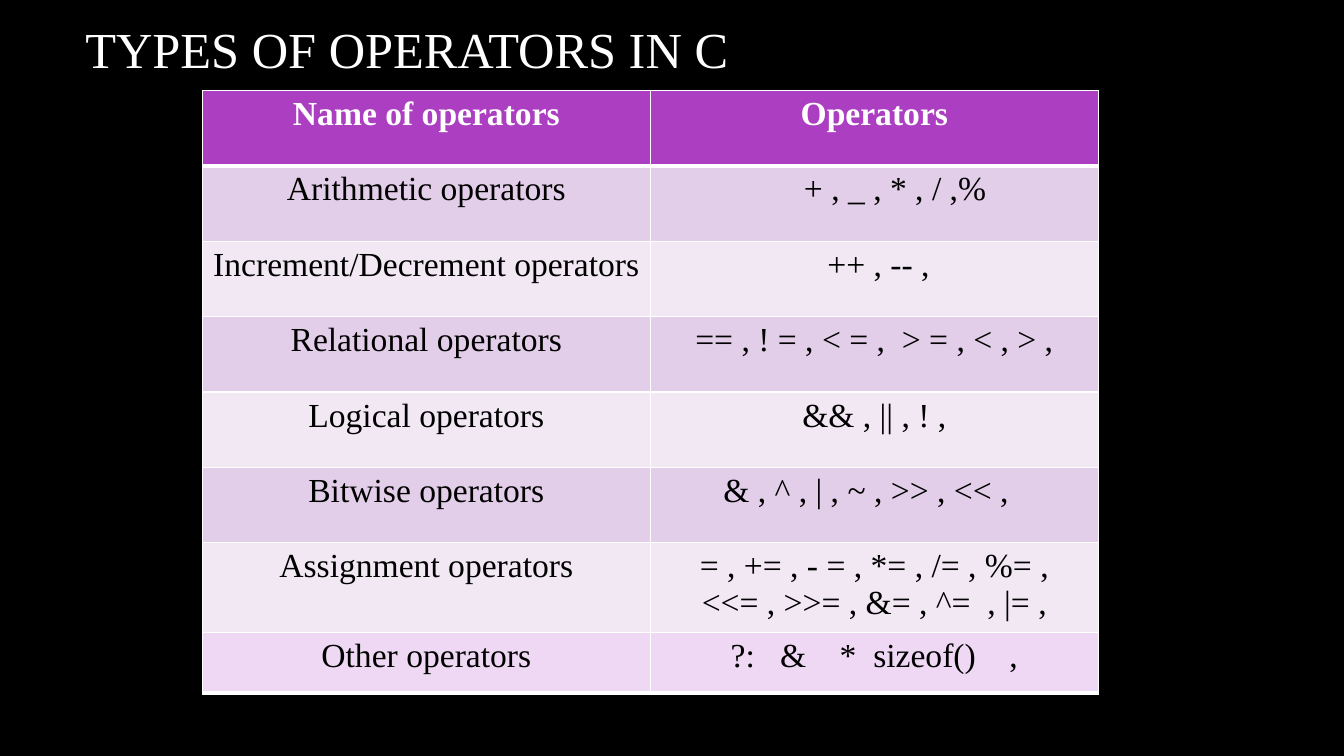
from pptx import Presentation
from pptx.dml.color import RGBColor
from pptx.enum.text import MSO_ANCHOR, PP_ALIGN
from pptx.oxml import parse_xml
from pptx.oxml.ns import nsdecls
from pptx.util import Cm, Pt

ROWS = [
    ("Name of operators", "Operators"),
    ("Arithmetic operators", "+ , _ , * , / ,%"),
    ("Increment/Decrement operators", " ++ , -- ,"),
    ("Relational operators", "== , ! = , < = ,  > = , < , > ,"),
    ("Logical operators", "&& , || , ! ,"),
    ("Bitwise operators", "& , ^ , | , ~ , >> , << ,"),
    ("Assignment operators",
     "= , += , - = , *= , /= , %= , <<= , >>= , &= , ^=  , |= ,"),
]
OTHER = [("Other operators", "?:   &    *  sizeof()    ,")]


def color(code):
    return RGBColor.from_string(code)


class Deck:
    font = "Times New Roman"
    white, black = "FFFFFF", "000000"
    head, bands, last = "AC3EC1", ("F1E8F4", "E3CEE9"), "EED8F3"

    def __init__(self):
        self.prs = Presentation()
        self.prs.slide_width, self.prs.slide_height = Cm(33.87), Cm(19.05)
        self.slide = self.prs.slides.add_slide(self.prs.slide_layouts[6])
        back = self.slide.background.fill
        back.solid()
        back.fore_color.rgb = color(self.black)

    def style(self, par, size, code, bold=False):
        for run in par.runs:
            run.font.name, run.font.size = self.font, Pt(size)
            run.font.bold, run.font.color.rgb = bold, color(code)

    def title(self, text, x, y, w, h):
        frame = self.slide.shapes.add_textbox(Cm(x), Cm(y), Cm(w), Cm(h)).text_frame
        frame.word_wrap = True
        frame.vertical_anchor = MSO_ANCHOR.MIDDLE
        frame.text = text
        self.style(frame.paragraphs[0], 36, self.white)

    def border(self, cell, top, base):
        sides = {"lnL": 1, "lnR": 1, "lnT": top, "lnB": base}
        props = cell._tc.get_or_add_tcPr()
        for spot, (side, width) in enumerate(sides.items()):
            props.insert(spot, parse_xml(
                f'<a:{side} {nsdecls("a")} w="{Pt(width)}"><a:solidFill>'
                f'<a:srgbClr val="{self.white}"/></a:solidFill></a:{side}>'))

    def cell(self, cell, text, fill, code, bold, top, base):
        cell.text_frame.text = text
        par = cell.text_frame.paragraphs[0]
        par.alignment = PP_ALIGN.CENTER
        self.style(par, 24, code, bold)
        cell.fill.solid()
        cell.fill.fore_color.rgb = color(fill)
        self.border(cell, top, base)

    def table(self, rows, x, y, w, high, header):
        grid = self.slide.shapes.add_table(
            len(rows), 2, Cm(x), Cm(y), Cm(w), Cm(high * len(rows))).table
        grid.first_row = grid.horz_banding = False
        for i, row in enumerate(rows):
            grid.rows[i].height = Cm(high)
            top_row = header and i == 0
            fill = self.head if top_row else self.bands[i % 2] if header else self.last
            code = self.white if top_row else self.black
            # Thick rule under the header, or under a table without one
            top = 3 if header and i == 1 else 1
            base = 3 if i == 0 else 1
            for j, text in enumerate(row):
                self.cell(grid.cell(i, j), text, fill, code, top_row, top, base)
        return grid


def main():
    deck = Deck()
    # Heading
    deck.title("TYPES OF OPERATORS IN C", 1.9, 0.13, 28.14, 2.16)
    # Main table, with two symbol lists set off centre
    grid = deck.table(ROWS, 5.1, 2.28, 22.58, 1.9, True)
    grid.cell(1, 1).margin_left = Cm(1.3)
    grid.cell(5, 1).margin_right = Cm(0.67)
    # Closing row, set apart
    deck.table(OTHER, 5.1, 15.94, 22.58, 1.53, False)
    deck.prs.save("out.pptx")


if __name__ == "__main__":
    main()
